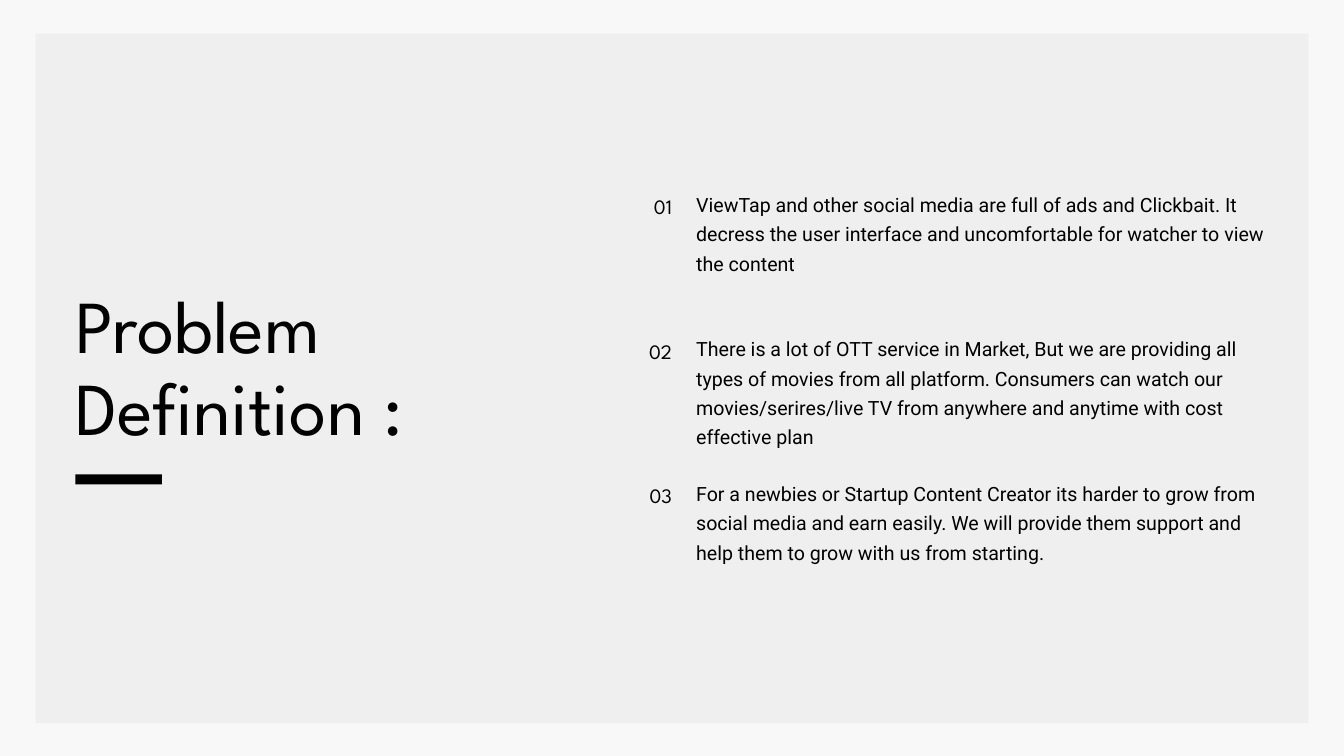
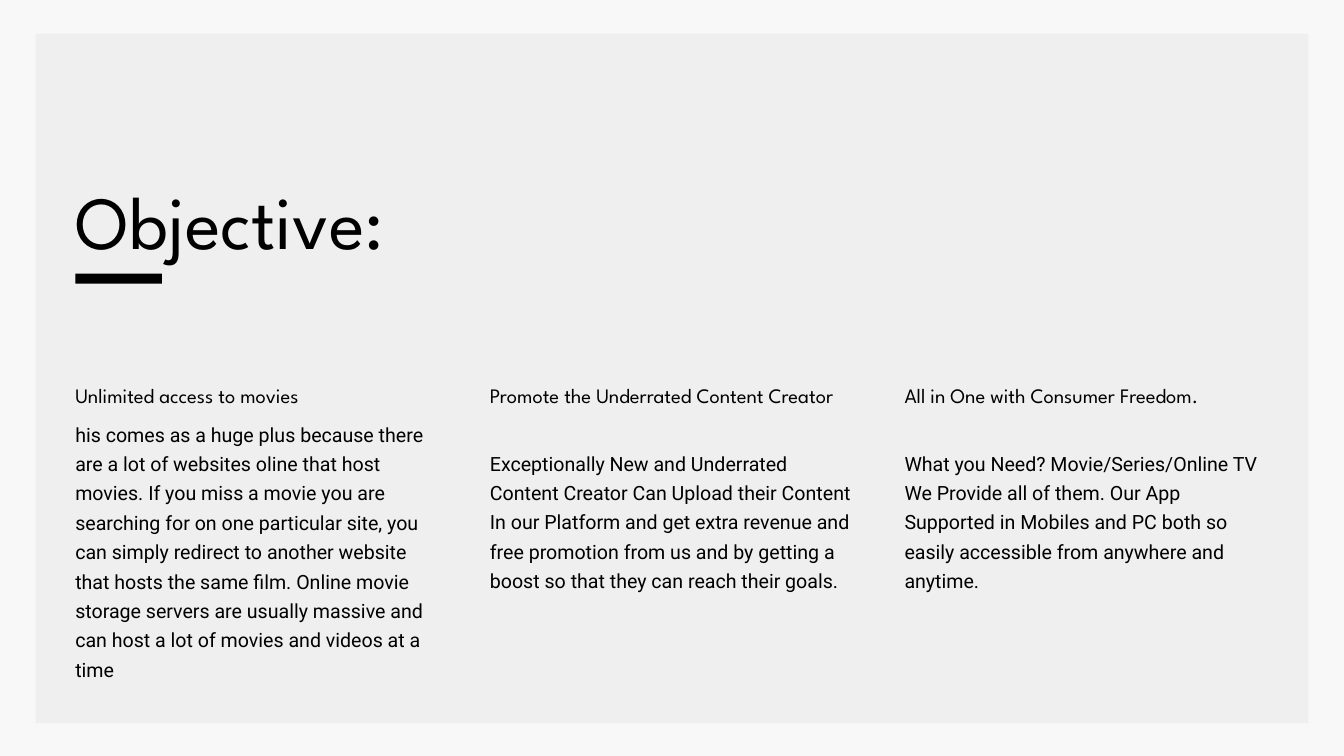
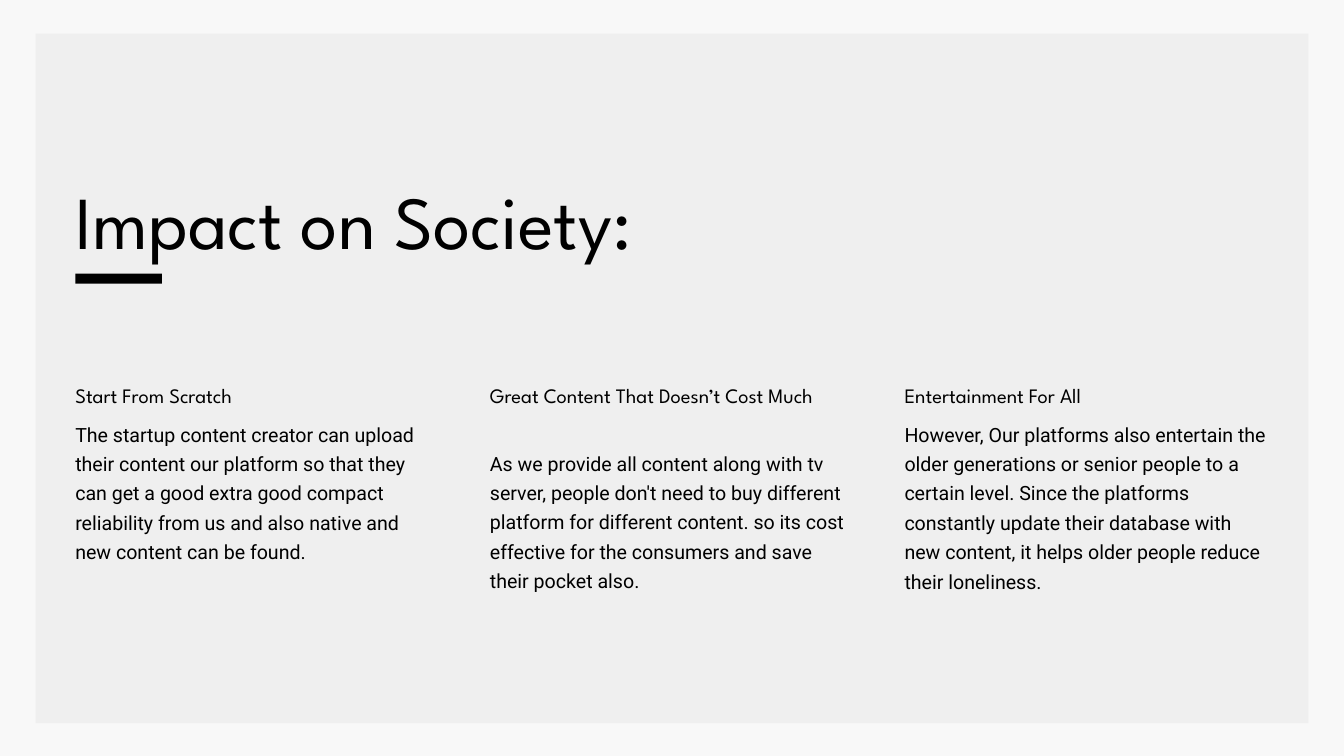
from dataclasses import dataclass

from pptx import Presentation
from pptx.dml.color import RGBColor as Rgb
from pptx.enum.shapes import MSO_SHAPE as Shape
from pptx.enum.text import MSO_AUTO_SIZE as Fit, PP_ALIGN as Align
from pptx.shapes.shapetree import GroupShapes, SlideShapes
from pptx.slide import Slide
from pptx.util import Emu, Pt

PX = 9144
WIDE, HIGH = 2000, 1125
COLORS = {"page": "F8F8F8", "panel": "EFEFEF", "ink": "000000"}

LEFT = 112
BAR_W, BAR_H = 129, 15
LIST_X, LIST_Y, LIST_W = 1036, 278, 852
ROW_STEP = 215
NUM_X, NUM_W, NUM_DROP = 949, 51, 5
COL_Y, COL_W, COL_GAP = 564, 542, 75
COPY_GAP = 14

Shapes = SlideShapes | GroupShapes


@dataclass(frozen=True)
class Box:
    x: int
    y: int
    w: int
    h: int

    def emu(self) -> tuple[Emu, ...]:
        return tuple(Emu(n * PX) for n in (self.x, self.y, self.w, self.h))


@dataclass(frozen=True)
class Style:
    font: str
    size: int
    lead: float
    align: Align = Align.LEFT

    def tall(self, lines: int) -> int:
        return int(lines * self.lead * 100 / 72)


@dataclass(frozen=True)
class Point:
    text: str
    lines: int


@dataclass(frozen=True)
class Column:
    head: str
    copy: str
    lines: int
    rows: int = 1


TITLE = Style("League Spartan", 80, 88)
HEAD = Style("League Spartan", 22, 30.8)
NUMBER = Style("League Spartan", 22, 30.8, Align.RIGHT)
BODY = Style("Roboto", 21, 31.5)

POINTS = [
    Point(
        "ViewTap and other social media are full of ads and Clickbait. It decress "
        "the user interface and uncomfortable for watcher to view the content",
        3,
    ),
    Point(
        "There is a lot of OTT service in Market, But we are providing all types "
        "of movies from all platform. Consumers can watch our "
        "movies/serires/live TV from anywhere and anytime with cost effective plan",
        4,
    ),
    Point(
        "For a newbies or Startup Content Creator its harder to grow from social "
        "media and earn easily. We will provide them support and help them to "
        "grow with us from starting.",
        3,
    ),
]

GOALS = [
    Column(
        "Unlimited access to movies",
        "his comes as a huge plus because there are a lot of websites oline that "
        "host movies. If you miss a movie you are searching for on one particular "
        "site, you can simply redirect to another website that hosts the same "
        "film. Online movie storage servers are usually massive and can host a "
        "lot of movies and videos at a time",
        9,
    ),
    Column(
        "Promote the Underrated Content Creator",
        "Exceptionally New and Underrated Content Creator Can Upload their "
        "Content In our Platform and get extra revenue and free promotion from us "
        "and by getting a boost so that they can reach their goals.",
        6,
        2,
    ),
    Column(
        "All in One with Consumer Freedom.",
        "What you Need? Movie/Series/Online TV We Provide all of them. Our App "
        "Supported in Mobiles and PC both so easily accessible from anywhere and "
        "anytime.",
        5,
        2,
    ),
]

EFFECTS = [
    Column(
        "Start From Scratch",
        "The startup content creator can upload their content our platform so "
        "that they can get a good extra good compact reliability from us and also "
        "native and new content can be found.",
        5,
    ),
    Column(
        "Great Content That Doesn’t Cost Much",
        "As we provide all content along with tv server, people don't need to buy "
        "different platform for different content. so its cost effective for the "
        "consumers and save their pocket also.",
        5,
        2,
    ),
    Column(
        "Entertainment For All",
        "However, Our platforms also entertain the older generations or senior "
        "people to a certain level. Since the platforms constantly update their "
        "database with new content, it helps older people reduce their loneliness.",
        6,
    ),
]


def color(name: str) -> Rgb:
    return Rgb.from_string(COLORS[name])


def draw_rect(shapes: Shapes, box: Box, fill: str) -> None:
    rect = shapes.add_shape(Shape.RECTANGLE, *box.emu())
    rect.shadow.inherit = False
    rect.fill.solid()
    rect.fill.fore_color.rgb = color(fill)
    rect.line.fill.background()


def draw_text(shapes: Shapes, box: Box, text: str, style: Style) -> None:
    frame = shapes.add_textbox(*box.emu()).text_frame
    frame.margin_left = frame.margin_right = 0
    frame.margin_top = frame.margin_bottom = 0
    frame.word_wrap = True
    frame.auto_size = Fit.SHAPE_TO_FIT_TEXT
    para = frame.paragraphs[0]
    para.text = text
    para.alignment = style.align
    para.line_spacing = Pt(style.lead)
    para.font.name = style.font
    para.font.size = Pt(style.size)
    para.font.color.rgb = color("ink")


def add_slide(deck: Presentation, title: str, box: Box, bar_y: int) -> Slide:
    slide = deck.slides.add_slide(deck.slide_layouts[6])
    back = slide.background.fill
    back.solid()
    back.fore_color.rgb = color("page")
    draw_rect(slide.shapes, Box(53, 50, 1894, 1026), "panel")
    draw_text(slide.shapes, box, title, TITLE)
    draw_rect(slide.shapes, Box(LEFT, bar_y, BAR_W, BAR_H), "ink")
    return slide


def add_list(deck: Presentation, title: str, points: list[Point]) -> None:
    slide = add_slide(deck, title, Box(LEFT, 426, 760, 248), 706)
    for i, point in enumerate(points):
        top = LIST_Y + i * ROW_STEP
        body = Box(LIST_X, top, LIST_W, BODY.tall(point.lines))
        num = Box(NUM_X, top + NUM_DROP, NUM_W, NUMBER.tall(1))
        draw_text(slide.shapes, body, point.text, BODY)
        draw_text(slide.shapes, num, f"{i + 1:02}", NUMBER)


def add_columns(deck: Presentation, title: str, cols: list[Column]) -> None:
    slide = add_slide(deck, title, Box(LEFT, 272, 1611, 126), 407)
    for i, col in enumerate(cols):
        left = LEFT + i * (COL_W + COL_GAP)
        head = Box(left, COL_Y, COL_W, HEAD.tall(col.rows))
        top = head.y + head.h + COPY_GAP
        group = slide.shapes.add_group_shape().shapes
        draw_text(group, Box(left, top, COL_W, BODY.tall(col.lines)), col.copy, BODY)
        draw_text(group, head, col.head, HEAD)


def main() -> None:
    deck = Presentation()
    deck.slide_width, deck.slide_height = Emu(WIDE * PX), Emu(HIGH * PX)
    add_list(deck, "Problem Definition :", POINTS)
    add_columns(deck, "Objective:", GOALS)
    add_columns(deck, "Impact on Society:", EFFECTS)
    deck.save("out.pptx")


if __name__ == "__main__":
    main()
